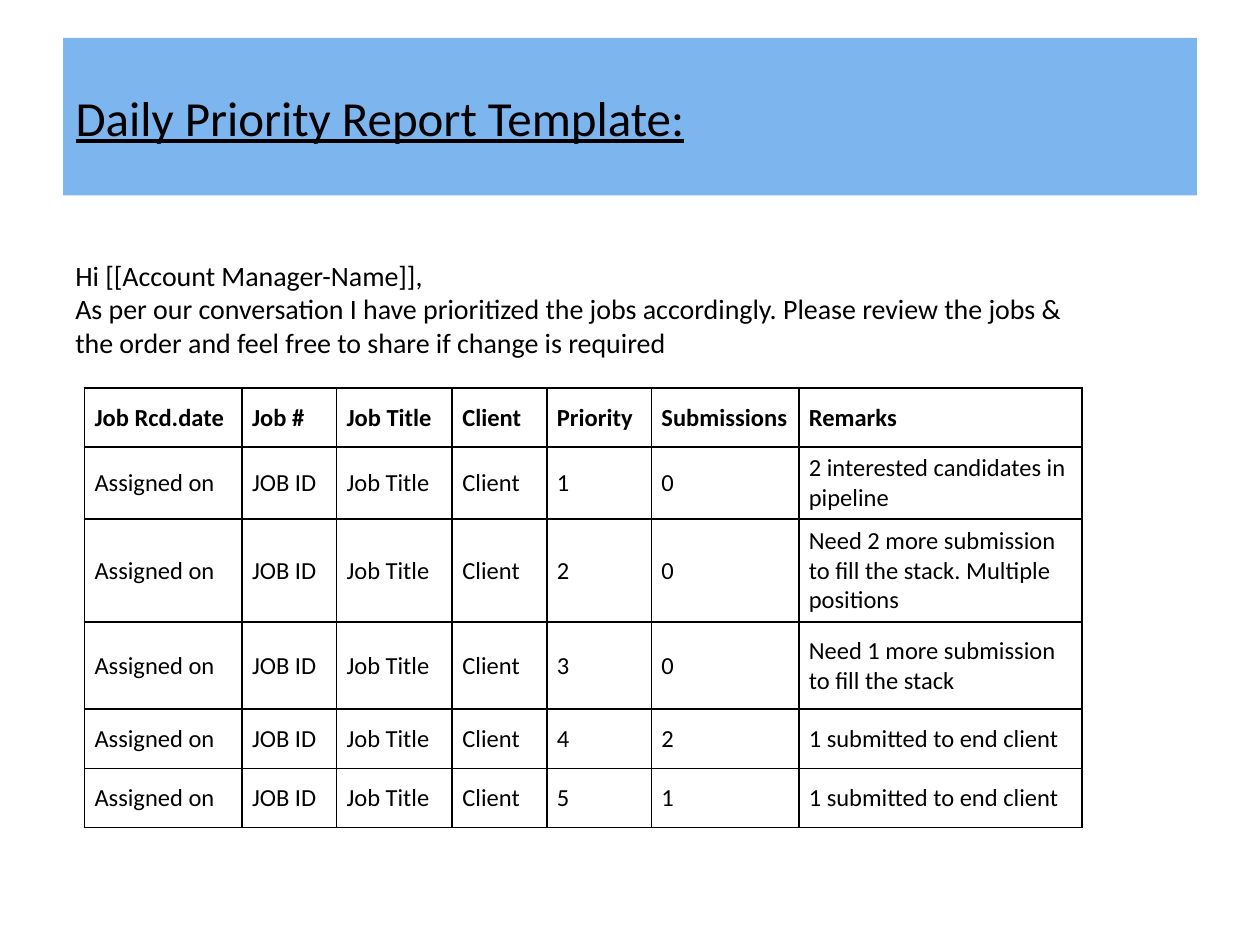
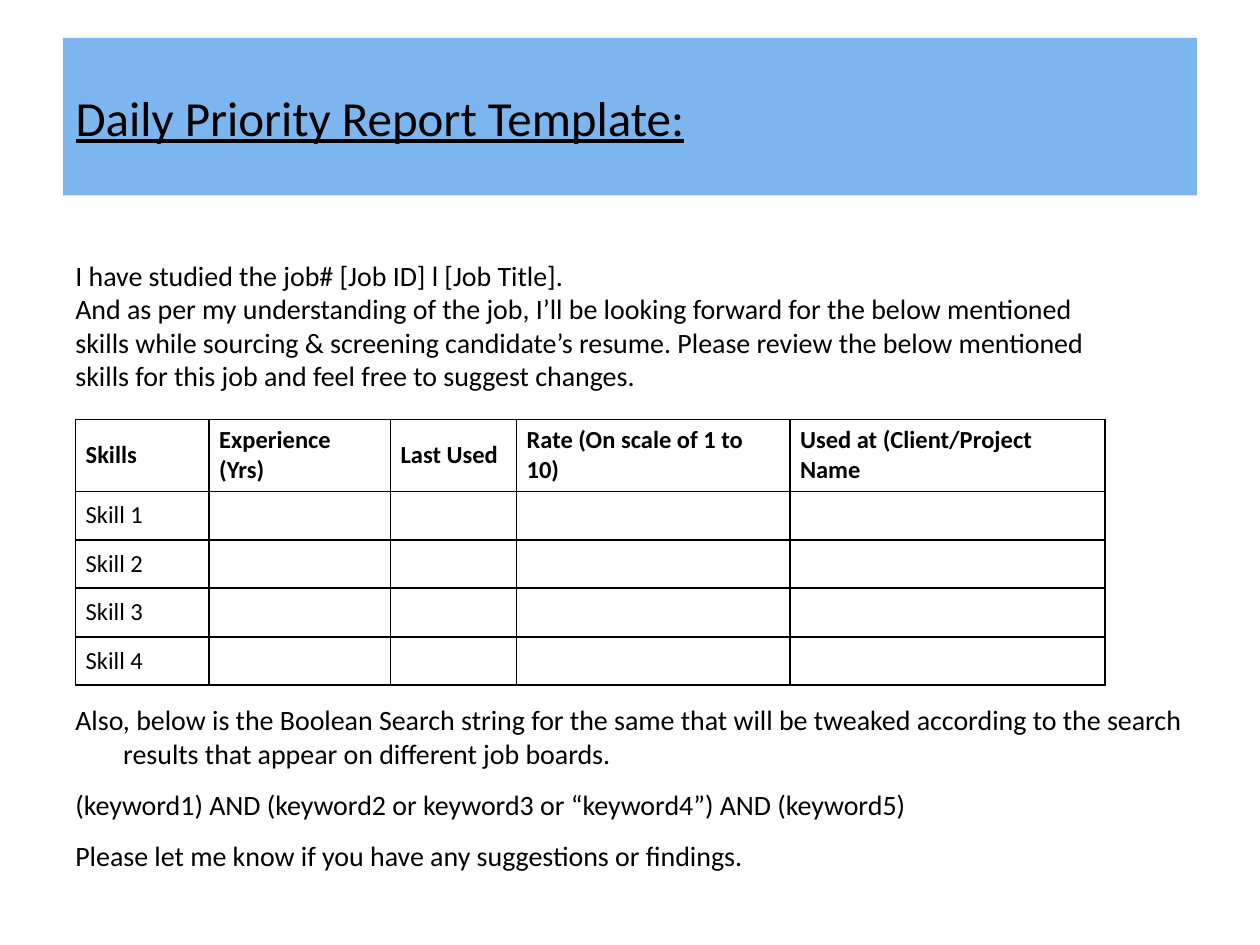
from dataclasses import dataclass

from lxml.etree import SubElement
from pptx import Presentation
from pptx.dml.color import RGBColor
from pptx.enum.text import MSO_ANCHOR, MSO_AUTO_SIZE, PP_ALIGN
from pptx.oxml.ns import qn
from pptx.util import Inches, Pt


@dataclass(frozen=True)
class Theme:
    font: str = "Calibri"
    ink: RGBColor = RGBColor(0x00, 0x00, 0x00)
    band: RGBColor = RGBColor(0x7D, 0xB6, 0xEF)
    title_size: Pt = Pt(28)
    body_size: Pt = Pt(16)
    table_size: Pt = Pt(14)
    border_width: Pt = Pt(1.08)
    paragraph_gap: Pt = Pt(10)
    hanging_indent: Inches = Inches(0.38)


GRID_COLUMNS, GRID_ROWS = 100, 75
TITLE = "Daily Priority Report Template:"
TITLE_AREA = (5, 3, 90, 12.5)
BODY_LEFT, BODY_TOP, BODY_WIDTH = 5, 20, 90


def apply_format(target, values):
    for name, value in values.items():
        setattr(target, name, value)


class ReportDeck:
    """Holds the theme, the presentation and the slide being filled."""

    def __init__(self, theme):
        self.theme = theme
        self.presentation = Presentation()
        self.presentation.slide_width = Inches(10)
        self.presentation.slide_height = Inches(7.5)
        self.slide = None

    def across(self, columns):
        return round(self.presentation.slide_width * columns / GRID_COLUMNS)

    def down(self, rows):
        return round(self.presentation.slide_height * rows / GRID_ROWS)

    def area(self, left, top, width, height):
        return self.across(left), self.down(top), self.across(width), self.down(height)

    def add_styled_run(self, paragraph, text, size, **font_values):
        run = paragraph.add_run()
        run.text = text
        apply_format(run.font, {"name": self.theme.font, "size": size, **font_values})
        run.font.color.rgb = self.theme.ink

    def add_slide(self, title):
        layout = self.presentation.slide_layouts[5]
        self.slide = self.presentation.slides.add_slide(layout)
        band = self.slide.shapes.title
        places = zip(("left", "top", "width", "height"), self.area(*TITLE_AREA))
        apply_format(band, dict(places))
        band.fill.solid()
        band.fill.fore_color.rgb = self.theme.band
        apply_format(band.text_frame, {
            "vertical_anchor": MSO_ANCHOR.MIDDLE,
            "auto_size": MSO_AUTO_SIZE.NONE,
            "word_wrap": True,
        })
        paragraph = band.text_frame.paragraphs[0]
        paragraph.alignment = PP_ALIGN.LEFT
        self.add_styled_run(paragraph, title, self.theme.title_size, underline=True)

    def add_text(self, lines, top, height, gap=Pt(0)):
        """Add body lines with a hanging indent and a gap between them."""
        box = self.slide.shapes.add_textbox(*self.area(BODY_LEFT, top, BODY_WIDTH, height))
        frame = box.text_frame
        frame.word_wrap = True
        for index, line in enumerate(lines):
            paragraph = frame.add_paragraph() if index else frame.paragraphs[0]
            paragraph.space_before = gap if index else Pt(0)
            properties = paragraph._p.get_or_add_pPr()
            properties.set("marL", str(self.theme.hanging_indent))
            properties.set("indent", str(-self.theme.hanging_indent))
            self.add_styled_run(paragraph, line, self.theme.body_size)

    def add_table(self, records, left, top, widths, heights):
        """Add a bordered table whose first record is the bold header."""
        place = self.area(left, top, sum(widths), sum(heights))
        table = self.slide.shapes.add_table(len(records), len(widths), *place).table
        apply_format(table, {"first_row": False, "horz_banding": False})
        for column, width in zip(table.columns, widths):
            column.width = self.across(width)
        for row, height in zip(table.rows, heights):
            row.height = self.down(height)
        for row_index, record in enumerate(records):
            for column_index, text in enumerate(record):
                self.fill_cell(table.cell(row_index, column_index), text, row_index == 0)

    def fill_cell(self, cell, text, bold):
        apply_format(cell, {
            "vertical_anchor": MSO_ANCHOR.MIDDLE,
            "margin_left": Inches(0.08),
            "margin_right": Inches(0.08),
            "margin_top": Inches(0.03),
            "margin_bottom": Inches(0.03),
        })
        paragraph = cell.text_frame.paragraphs[0]
        if text:
            self.add_styled_run(paragraph, text, self.theme.table_size, bold=bold)
        else:
            size = round(self.theme.table_size.pt * 100)
            paragraph._p.get_or_add_endParaRPr().set("sz", str(size))
        self.border_cell(cell)

    def border_cell(self, cell):
        properties = cell._tc.get_or_add_tcPr()
        for side in ("a:lnL", "a:lnR", "a:lnT", "a:lnB"):
            line = SubElement(properties, qn(side), w=str(self.theme.border_width))
            fill = SubElement(line, qn("a:solidFill"))
            SubElement(fill, qn("a:srgbClr"), val=str(self.theme.ink))
        cell.fill.background()


def add_priority_slide(deck):
    deck.add_slide(TITLE)
    deck.add_text([
        "Hi [[Account Manager-Name]],",
        "As per our conversation I have prioritized the jobs accordingly. Please review the jobs &",
        "the order and feel free to share if change is required",
    ], BODY_TOP, 10)
    header = ["Job Rcd.date", "Job #", "Job Title", "Client", "Priority", "Submissions", "Remarks"]
    progress = [
        ("0", "2 interested candidates in pipeline"),
        ("0", "Need 2 more submission to fill the stack. Multiple positions"),
        ("0", "Need 1 more submission to fill the stack"),
        ("2", "1 submitted to end client"),
        ("1", "1 submitted to end client"),
    ]
    jobs = [
        ["Assigned on", "JOB ID", "Job Title", "Client", str(priority), submissions, remark]
        for priority, (submissions, remark) in enumerate(progress, start=1)
    ]
    deck.add_table(
        [header, *jobs], left=6.7, top=30.8,
        widths=[12.5, 7.5, 9.2, 7.5, 8.3, 11.7, 22.5],
        heights=[4.7, 5.7, 8.2, 6.9, 4.7, 4.7],
    )


def add_skills_slide(deck):
    deck.add_slide(TITLE)
    deck.add_text([
        "I have studied the job# [Job ID] l [Job Title].",
        "And as per my understanding of the job, I’ll be looking forward for the below mentioned",
        "skills while sourcing & screening candidate’s resume. Please review the below mentioned",
        "skills for this job and feel free to suggest changes.",
    ], BODY_TOP, 12)
    header = [
        "Skills", "Experience (Yrs)", "Last Used",
        "Rate (On scale of 1 to 10)", "Used at (Client/Project Name",
    ]
    skills = [[f"Skill {number}", "", "", "", ""] for number in range(1, 5)]
    deck.add_table(
        [header, *skills], left=6, top=33.3,
        widths=[10.6, 14.4, 10, 21.7, 25],
        heights=[5.7] + [3.85] * len(skills),
    )
    deck.add_text([
        "Also, below is the Boolean Search string for the same that will be tweaked "
        "according to the search results that appear on different job boards.",
        "(keyword1) AND (keyword2 or keyword3 or “keyword4”) AND (keyword5)",
        "Please let me know if you have any suggestions or findings.",
    ], 55.3, 15, deck.theme.paragraph_gap)


def main():
    deck = ReportDeck(Theme())
    add_priority_slide(deck)
    add_skills_slide(deck)
    deck.presentation.save("out.pptx")


if __name__ == "__main__":
    main()
